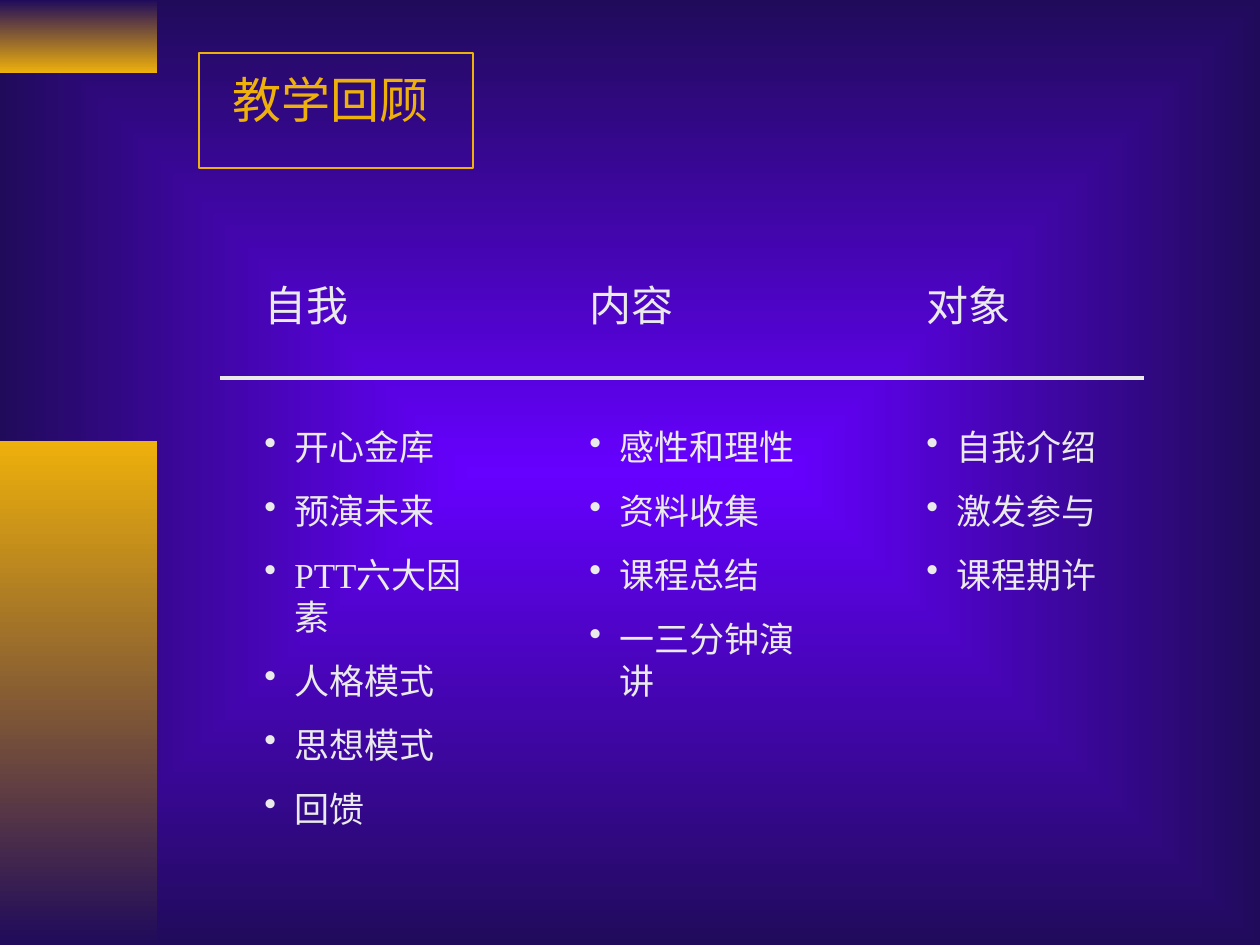
from lxml.etree import SubElement
from pptx import Presentation
from pptx.dml.color import RGBColor
from pptx.enum.shapes import MSO_CONNECTOR, MSO_SHAPE
from pptx.enum.text import MSO_ANCHOR, MSO_AUTO_SIZE, PP_ALIGN
from pptx.oxml.ns import qn
from pptx.util import Pt


class Theme:
    gold = RGBColor.from_string("EEB00B")
    navy = RGBColor.from_string("200B5B")
    violet = RGBColor.from_string("6600FF")
    pale = RGBColor.from_string("EAEAEA")
    face = "Times New Roman"
    title, head, item = Pt(28), Pt(24), Pt(20)
    head_gap, item_gap = Pt(55), Pt(12.5)
    thin, rule = Pt(1), Pt(2.25)


# left, width, height, heading, items
COLUMNS = [
    (252, 242, 566, "自我",
     ["开心金库", "预演未来", "PTT六大因素", "人格模式", "思想模式", "回馈"]),
    (577, 252, 396, "内容",
     ["感性和理性", "资料收集", "课程总结", "一三分钟演讲"]),
    (914, 252, 396, "对象", ["自我介绍", "激发参与", "课程期许"]),
]


def px(num):
    return round(num * 914400 / 126)


def style(obj, **vals):
    for name, val in vals.items():
        setattr(obj, name, val)


def place(shape, left, top, width, height):
    style(shape, left=px(left), top=px(top), width=px(width), height=px(height))


def blend(fill, first, last):
    fill.gradient()
    for stop, tone, pos in zip(fill.gradient_stops, (first, last), (0, 1)):
        stop.color.rgb = tone
        stop.position = pos


def paint(slide):
    """Fill the background from a bright centre to dark edges."""
    blend(slide.background.fill, Theme.violet, Theme.navy)
    lin = slide.element.find(".//" + qn("a:lin"))
    grad = lin.getparent()
    spot = grad.makeelement(qn("a:path"), {"path": "rect"})
    grad.replace(lin, spot)
    SubElement(spot, qn("a:fillToRect"), dict.fromkeys("ltrb", "50000"))


def add_box(slide, *area):
    box = slide.shapes.add_shape(MSO_SHAPE.RECTANGLE, *map(px, area))
    box.shadow.inherit = False
    return box


def add_bar(slide, top, height, first, last):
    bar = add_box(slide, 0, top, 157, height)
    blend(bar.fill, first, last)
    bar.fill.gradient_angle = 270
    bar.line.fill.background()


def add_frame(slide):
    frame = add_box(slide, 199, 53, 274, 115)
    frame.fill.background()
    frame.line.color.rgb = Theme.gold
    frame.line.width = Theme.thin


def add_rule(slide):
    rule = slide.shapes.add_connector(
        MSO_CONNECTOR.STRAIGHT, px(220), px(378), px(1144), px(378))
    rule.line.color.rgb = Theme.pale
    rule.line.width = Theme.rule
    SubElement(rule.element.spPr, qn("a:effectLst"))


def write(para, text, size, tone, gap=0):
    para.text = text
    style(para, alignment=PP_ALIGN.LEFT, space_before=gap)
    style(para.font, name=Theme.face, size=size)
    para.font.color.rgb = tone


def add_bullet(para):
    props = para._p.get_or_add_pPr()
    props.set("marL", str(px(30)))
    props.set("indent", str(px(-30)))
    SubElement(props, qn("a:buChar"), char="•")


def set_title(slide, text):
    title = slide.shapes.title
    place(title, 220, 63, 557, 72)
    frame = title.text_frame
    style(frame, word_wrap=True, vertical_anchor=MSO_ANCHOR.TOP,
          auto_size=MSO_AUTO_SIZE.SHAPE_TO_FIT_TEXT)
    write(frame.paragraphs[0], text, Theme.title, Theme.gold)


def add_column(slide, left, width, height, head, items):
    box = slide.shapes.add_textbox(*map(px, (left, 273, width, height)))
    frame = box.text_frame
    style(frame, word_wrap=True, auto_size=MSO_AUTO_SIZE.SHAPE_TO_FIT_TEXT)
    write(frame.paragraphs[0], head, Theme.head, Theme.pale)
    gap = Theme.head_gap
    for item in items:
        para = frame.add_paragraph()
        add_bullet(para)
        write(para, item, Theme.item, Theme.pale, gap)
        gap = Theme.item_gap


def main():
    deck = Presentation()
    style(deck, slide_width=px(1260), slide_height=px(945))
    slide = deck.slides.add_slide(deck.slide_layouts[5])
    paint(slide)

    # Side bars
    add_bar(slide, 0, 73, Theme.navy, Theme.gold)
    add_bar(slide, 441, 504, Theme.gold, Theme.navy)

    # Framed title
    set_title(slide, "教学回顾")
    add_frame(slide)

    # Three columns under one rule
    add_rule(slide)
    for column in COLUMNS:
        add_column(slide, *column)
    deck.save("out.pptx")


if __name__ == "__main__":
    main()
